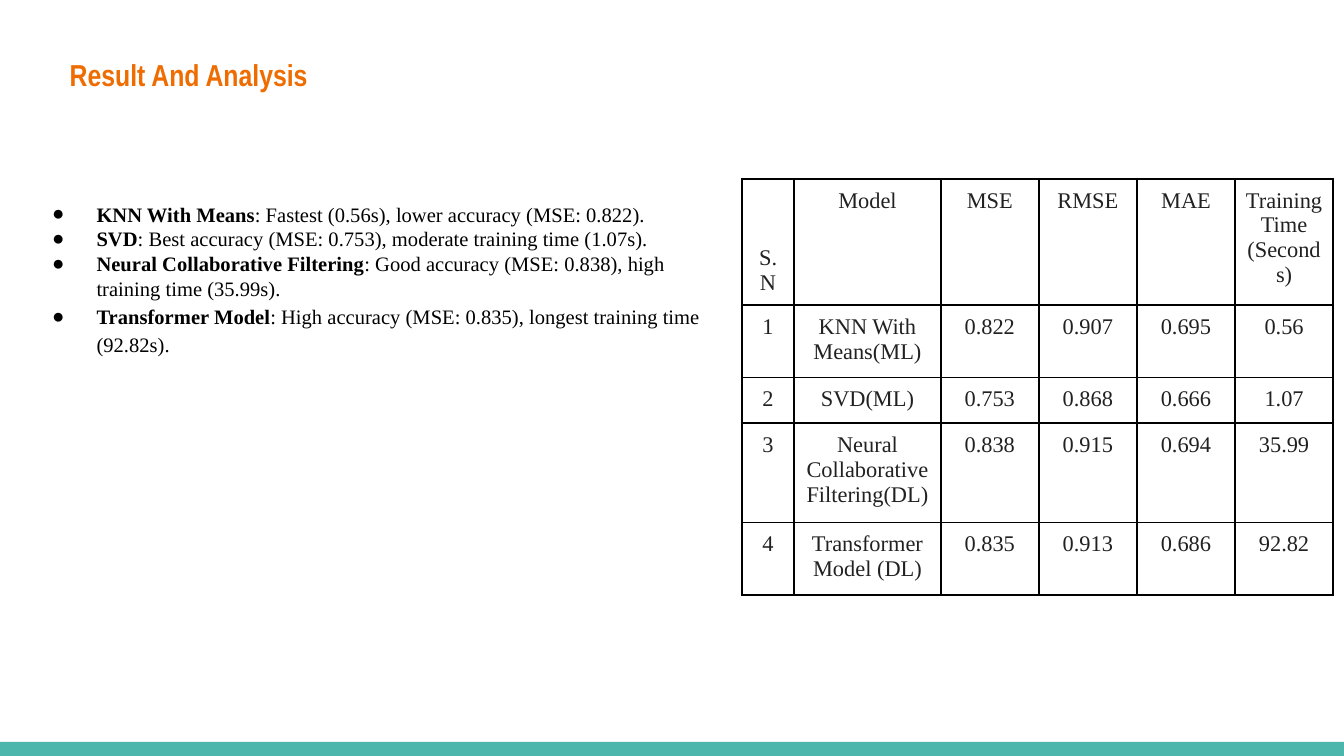
from lxml.etree import SubElement
from pptx import Presentation
from pptx.dml.color import RGBColor
from pptx.enum.shapes import MSO_SHAPE
from pptx.enum.text import MSO_ANCHOR, PP_ALIGN
from pptx.oxml.ns import qn
from pptx.util import Inches, Pt

WIDTH = Inches(10)
HEIGHT = WIDTH * 9 // 16
GRID = WIDTH / 100

TEAL = RGBColor(0x4D, 0xB6, 0xAC)
ORANGE = RGBColor(0xEF, 0x6C, 0x00)
BLACK = RGBColor(0, 0, 0)
CHARCOAL = RGBColor(0x21, 0x21, 0x21)

SERIF = "Times New Roman"
HEADING = {"name": "Arial Narrow", "size": Pt(16.2), "bold": True}
FINDING = {"name": SERIF, "size": Pt(11)}
ENTRY = {"name": SERIF, "size": Pt(12), "bold": False}

FINDINGS = [
    ("KNN With Means", ": Fastest (0.56s), lower accuracy (MSE: 0.822).", 1.0),
    ("SVD", ": Best accuracy (MSE: 0.753), moderate training time (1.07s).", 1.0),
    ("Neural Collaborative Filtering",
     ": Good accuracy (MSE: 0.838), high training time (35.99s).", 1.0),
    ("Transformer Model",
     ": High accuracy (MSE: 0.835), longest training time (92.82s).", 1.15),
]
RESULTS = [
    ("S.N", "Model", "MSE", "RMSE", "MAE", "Training Time (Seconds)"),
    ("1", "KNN With Means(ML)", "0.822", "0.907", "0.695", "0.56"),
    ("2", "SVD(ML)", "0.753", "0.868", "0.666", "1.07"),
    ("3", "Neural Collaborative Filtering(DL)", "0.838", "0.915", "0.694", "35.99"),
    ("4", "Transformer Model (DL)", "0.835", "0.913", "0.686", "92.82"),
]
COLUMN_SPANS = [3.9, 10.9] + [7.3] * 4
ROW_SPANS = [8.8, 5.1, 3.25, 6.95, 5.1]


def grid_box(*spans):
    return [round(span * GRID) for span in spans]


def apply(target, values):
    for attribute, value in values.items():
        setattr(target, attribute, value)


def add_run(paragraph, words, font, color):
    run = paragraph.add_run()
    run.text = words
    apply(run.font, font)
    run.font.color.rgb = color


def add_frame(slide, box):
    frame = slide.shapes.add_textbox(*box).text_frame
    inset = round(GRID)
    apply(frame, {"word_wrap": True, "vertical_anchor": MSO_ANCHOR.TOP,
                  "margin_left": inset, "margin_right": inset,
                  "margin_top": inset, "margin_bottom": inset})
    return frame


def add_footer(slide, box):
    band = slide.shapes.add_shape(MSO_SHAPE.RECTANGLE, *box)
    band.shadow.inherit = False
    band.fill.solid()
    band.fill.fore_color.rgb = TEAL
    band.line.fill.background()


def add_heading(slide, box):
    frame = add_frame(slide, box)
    add_run(frame.paragraphs[0], "Result And Analysis", HEADING, ORANGE)


def add_bullet(paragraph):
    properties = paragraph._p.get_or_add_pPr()
    properties.set("marL", str(Inches(0.5)))
    properties.set("indent", str(-Inches(0.33)))
    color = SubElement(properties, qn("a:buClr"))
    SubElement(color, qn("a:srgbClr"), val=str(BLACK))
    SubElement(properties, qn("a:buFont"), typeface=SERIF)
    SubElement(properties, qn("a:buChar"), char="●")


def add_findings(slide, box):
    frame = add_frame(slide, box)
    for index, (model, verdict, spacing) in enumerate(FINDINGS):
        paragraph = frame.add_paragraph() if index else frame.paragraphs[0]
        paragraph.line_spacing = spacing
        add_bullet(paragraph)
        add_run(paragraph, model, {**FINDING, "bold": True}, BLACK)
        add_run(paragraph, verdict, {**FINDING, "bold": False}, BLACK)


def add_borders(cell):
    properties = cell._tc.get_or_add_tcPr()
    for side in ("a:lnL", "a:lnR", "a:lnT", "a:lnB"):
        border = SubElement(properties, qn(side), w=str(Pt(1)))
        fill = SubElement(border, qn("a:solidFill"))
        SubElement(fill, qn("a:srgbClr"), val=str(BLACK))


def fill_cell(cell, words, anchor):
    inset = Inches(0.07)
    apply(cell, {"vertical_anchor": anchor,
                 "margin_left": inset, "margin_right": inset,
                 "margin_top": inset, "margin_bottom": inset})
    add_borders(cell)
    cell.fill.background()
    paragraph = cell.text_frame.paragraphs[0]
    paragraph.alignment = PP_ALIGN.CENTER
    add_run(paragraph, words, ENTRY, CHARCOAL)


def add_results(slide, box):
    table = slide.shapes.add_table(len(RESULTS), len(COLUMN_SPANS), *box).table
    apply(table, {"first_row": False, "horz_banding": False})
    left, top, width, height = box
    for column, span in zip(table.columns, COLUMN_SPANS):
        column.width = round(width * span / sum(COLUMN_SPANS))
    for row, span, entries in zip(table.rows, ROW_SPANS, RESULTS):
        row.height = round(height * span / sum(ROW_SPANS))
        for cell, words in zip(row.cells, entries):
            anchor = MSO_ANCHOR.BOTTOM if words == "S.N" else MSO_ANCHOR.TOP
            fill_cell(cell, words, anchor)


def main():
    deck = Presentation()
    apply(deck, {"slide_width": WIDTH, "slide_height": HEIGHT})
    slide = deck.slides.add_slide(deck.slide_layouts[6])
    add_footer(slide, grid_box(0, 55.2, 100, 1.05))
    add_heading(slide, grid_box(4.2, 3.2, 25.5, 5))
    add_results(slide, grid_box(55.2, 13.3, sum(COLUMN_SPANS), sum(ROW_SPANS)))
    add_findings(slide, grid_box(1.2, 14, 53, 16.7))
    deck.save("out.pptx")


if __name__ == "__main__":
    main()
